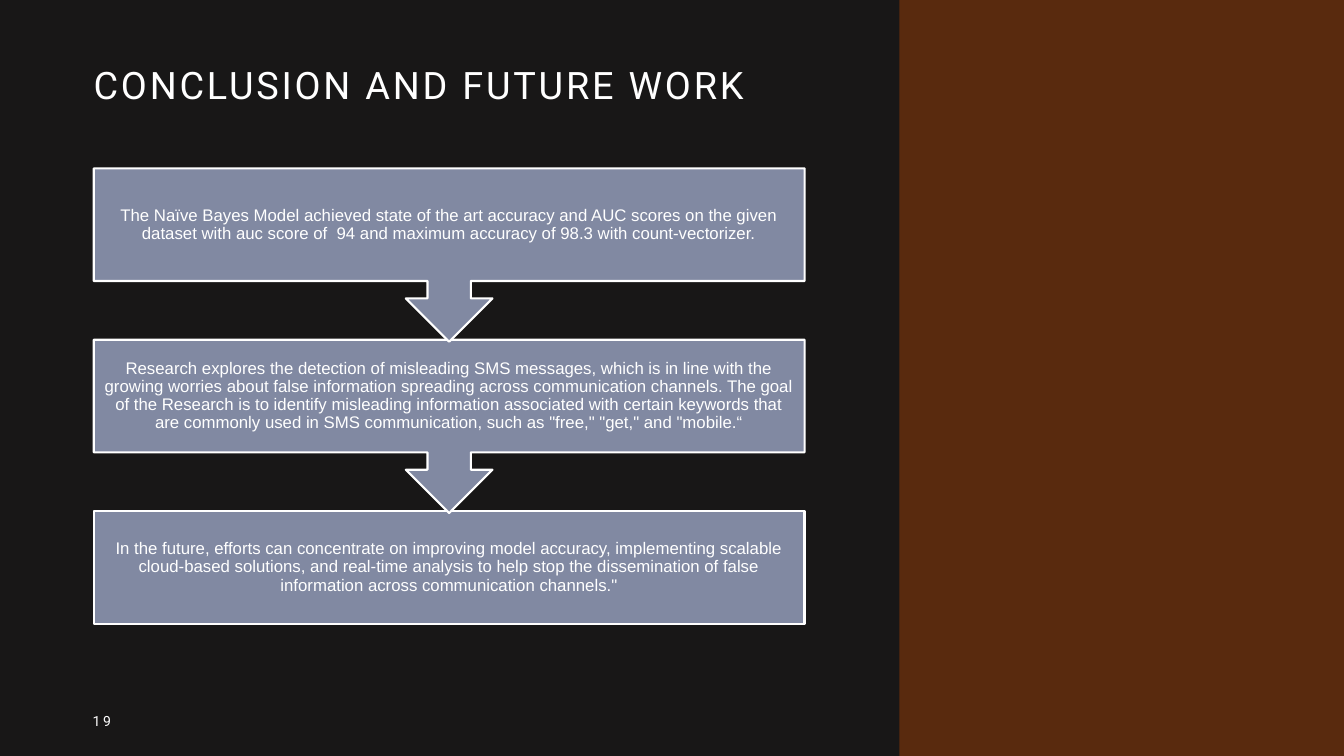
from pptx import Presentation
from pptx.dml.color import RGBColor
from pptx.enum.shapes import MSO_SHAPE as Shape
from pptx.enum.text import MSO_ANCHOR as Anchor, PP_ALIGN as Align
from pptx.util import Inches, Pt

TITLE = "CONCLUSION AND FUTURE WORK"
PAGE_NUMBER = "19"
STEPS = [
    "The Naïve Bayes Model achieved state of the art accuracy and AUC scores on the given "
    "dataset with auc score of  94 and maximum accuracy of 98.3 with count-vectorizer.",
    "Research explores the detection of misleading SMS messages, which is in line with the "
    "growing worries about false information spreading across communication channels. The goal "
    "of the Research is to identify misleading information associated with certain keywords that "
    "are commonly used in SMS communication, such as \"free,\" \"get,\" and \"mobile.“",
    "In the future, efforts can concentrate on improving model accuracy, implementing scalable "
    "cloud-based solutions, and real-time analysis to help stop the dissemination of false "
    "information across communication channels.\"",
]
COLORS = {"side": "592A0E", "panel": "181717", "step": "8189A2", "white": "FFFFFF"}

# Step column, in inches
WIDTH, HEIGHT = 13.33, 7.5
STEP_LEFT, STEP_TOP, STEP_WIDTH = 0.93, 1.67, 7.05
STEP_PITCH, BOX_HEIGHT, CALLOUT_HEIGHT = 1.7, 1.12, 1.72


def color(name):
    return RGBColor.from_string(COLORS[name])


def write(shape, text, size, font, spacing=None):
    frame = shape.text_frame
    frame.word_wrap = True
    frame.vertical_anchor = Anchor.MIDDLE
    frame.text = text
    para = frame.paragraphs[0]
    span = para.runs[0]
    span.font.size, span.font.name = Pt(size), font
    span.font.color.rgb = color("white")
    if spacing:
        span.font._element.set("spc", str(spacing * 100))
    return para


def add_block(page, kind, place, fill):
    block = page.shapes.add_shape(kind, *map(Inches, place))
    block.shadow.inherit = False
    block.fill.solid()
    block.fill.fore_color.rgb = color(fill)
    block.line.fill.background()
    return block


def add_step(page, index):
    last = index == len(STEPS) - 1
    kind = Shape.RECTANGLE if last else Shape.DOWN_ARROW_CALLOUT
    height = BOX_HEIGHT if last else CALLOUT_HEIGHT
    top = STEP_TOP + index * STEP_PITCH
    step = add_block(page, kind, (STEP_LEFT, top, STEP_WIDTH, height), "step")
    step.line.color.rgb = color("white")
    step.line.width = Pt(1.5)
    frame = step.text_frame
    frame.margin_left = frame.margin_right = Inches(0.09)
    frame.margin_top = frame.margin_bottom = Inches(0.09)
    para = write(step, STEPS[index], 12, "Arial")
    para.alignment = Align.CENTER
    para.line_spacing = 0.9


def main():
    deck = Presentation()
    deck.slide_width, deck.slide_height = Inches(WIDTH), Inches(HEIGHT)
    page = deck.slides.add_slide(deck.slide_layouts[6])

    # Background and dark panel
    page.background.fill.solid()
    page.background.fill.fore_color.rgb = color("side")
    add_block(page, Shape.RECTANGLE, (0, 0, 8.92, HEIGHT), "panel")

    # Title and page number
    title = page.shapes.add_textbox(*map(Inches, (0.83, 0.6, 7.79, 0.54)))
    write(title, TITLE, 27, "Roboto", spacing=2).line_spacing = 0.9
    number = page.shapes.add_textbox(*map(Inches, (0.82, 6.95, 3, 0.4)))
    write(number, PAGE_NUMBER, 10, "Roboto", spacing=2)

    # Steps from the bottom up, so each arrow tip lies over the next box
    for index in reversed(range(len(STEPS))):
        add_step(page, index)

    deck.save("out.pptx")


if __name__ == "__main__":
    main()
